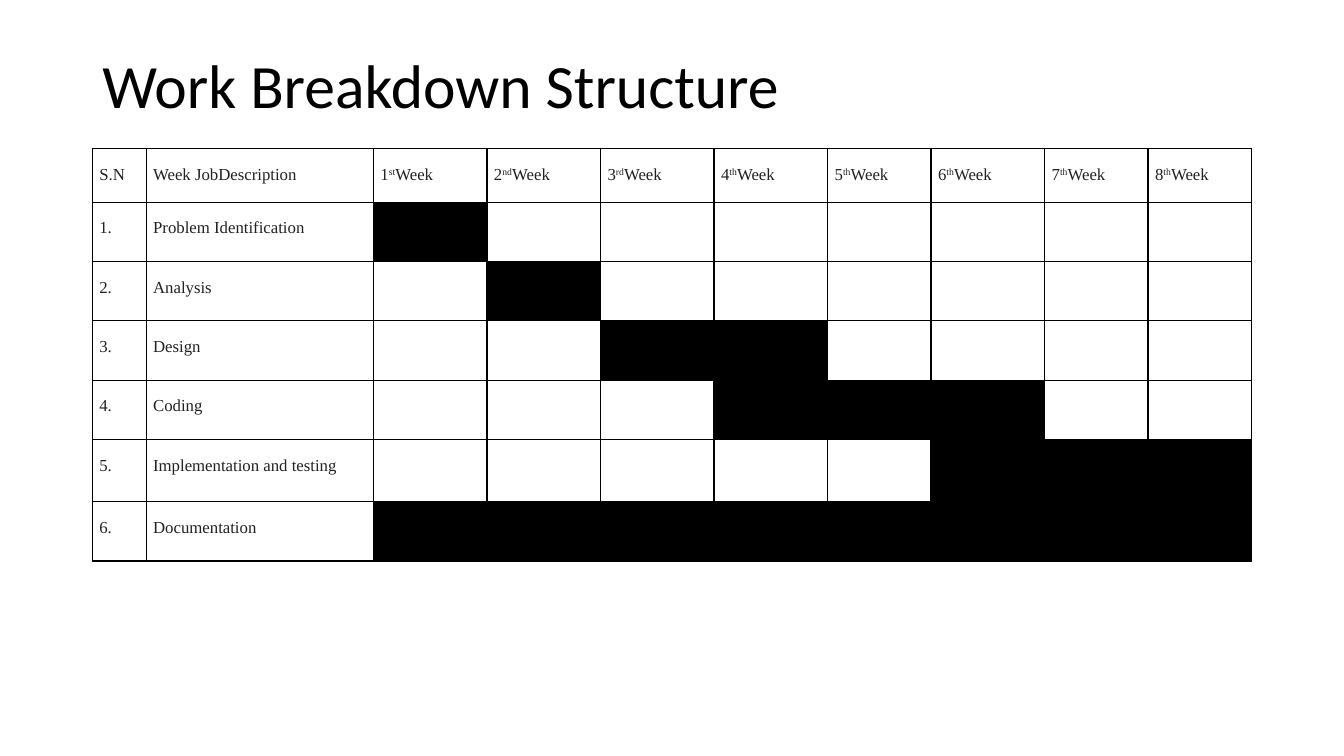
import dataclasses

import pptx
import pptx.dml.color
import pptx.enum.text
import pptx.oxml
import pptx.oxml.ns
import pptx.util

Pt = pptx.util.Pt
RGB = pptx.dml.color.RGBColor.from_string


@dataclasses.dataclass(frozen=True)
class Theme:
    """Colours, fonts and type sizes of the slide."""
    ink: str = "000000"
    paper: str = "FFFFFF"
    cell_text: str = "222222"
    title_font: str = "Calibri"
    cell_font: str = "Times New Roman"
    title_size: int = 44
    cell_size: int = 12


class SlideBuilder:
    """Adds styled elements to the current slide."""

    def __init__(self, s, theme):
        self.s = s
        self.theme = theme

    def style(self, p, font, size, color, spacing):
        p.line_spacing = spacing
        for r in p.runs:
            r.font.name = font
            r.font.size = Pt(size)
            r.font.color.rgb = RGB(color)

    def title(self, text, left, top, width, height):
        t = self.theme
        tf = self.s.shapes.add_textbox(Pt(left), Pt(top), Pt(width), Pt(height)).text_frame
        tf.word_wrap = True
        tf.vertical_anchor = pptx.enum.text.MSO_ANCHOR.MIDDLE
        tf.text = text
        self.style(tf.paragraphs[0], t.title_font, t.title_size, t.ink, 0.9)

    def table(self, left, top, widths, heights):
        table = self.s.shapes.add_table(
            len(heights), len(widths), Pt(left), Pt(top), Pt(sum(widths)), Pt(sum(heights))
        ).table
        table.first_row = table.horz_banding = False
        for column, width in zip(table.columns, widths):
            column.width = Pt(width)
        for row, height in zip(table.rows, heights):
            row.height = Pt(height)
        return table

    def cell(self, cell, text="", suffix="", rest="", filled=False):
        t = self.theme
        self.borders(cell)
        cell.fill.solid()
        cell.fill.fore_color.rgb = RGB(t.ink if filled else t.paper)
        cell.margin_left = cell.margin_right = Pt(5)
        cell.margin_top = cell.margin_bottom = 0
        p = cell.text_frame.paragraphs[0]
        p.text = text
        if suffix:
            r = p.add_run()
            r.text = suffix
            r.font._element.set("baseline", "30000")
            p.add_run().text = rest
        self.style(p, t.cell_font, t.cell_size, t.cell_text, 1.9)

    def borders(self, cell):
        props = cell._tc.get_or_add_tcPr()
        for side in ("lnL", "lnR", "lnT", "lnB"):
            props.append(pptx.oxml.parse_xml(
                f'<a:{side} {pptx.oxml.ns.nsdecls("a")} w="{Pt(1)}"><a:solidFill>'
                f'<a:srgbClr val="{self.theme.ink}"/></a:solidFill></a:{side}>'
            ))


ORDINALS = ("st", "nd", "rd", "th", "th", "th", "th", "th")
JOBS = (
    ("Problem Identification", 1, 1),
    ("Analysis", 2, 2),
    ("Design", 3, 4),
    ("Coding", 4, 6),
    ("Implementation and testing", 6, 8),
    ("Documentation", 1, 8),
)
COLUMN_WIDTHS = [38.4, 162.4] + [81.1] * 4 + [73.9, 81.1, 73.9, 73.9]
ROW_HEIGHTS = [38.4] + [42.4] * 4 + [44.4, 42.4]


def main():
    """Build the work breakdown slide and save it."""
    prs = pptx.Presentation()
    prs.slide_width, prs.slide_height = Pt(960), Pt(540)
    s = prs.slides.add_slide(prs.slide_layouts[6])
    builder = SlideBuilder(s, Theme())

    schedule = builder.table(66, 106, COLUMN_WIDTHS, ROW_HEIGHTS)
    builder.cell(schedule.cell(0, 0), "S.N")
    builder.cell(schedule.cell(0, 1), "Week JobDescription")
    for week, suffix in enumerate(ORDINALS, 1):
        builder.cell(schedule.cell(0, week + 1), str(week), suffix, "Week")
    for number, (job, first, last) in enumerate(JOBS, 1):
        builder.cell(schedule.cell(number, 0), f"{number}.")
        builder.cell(schedule.cell(number, 1), job)
        for week in range(1, len(ORDINALS) + 1):
            builder.cell(schedule.cell(number, week + 1), filled=first <= week <= last)

    builder.title("Work Breakdown Structure", 66, 10.8, 828, 104.4)
    prs.save("out.pptx")


if __name__ == "__main__":
    main()
